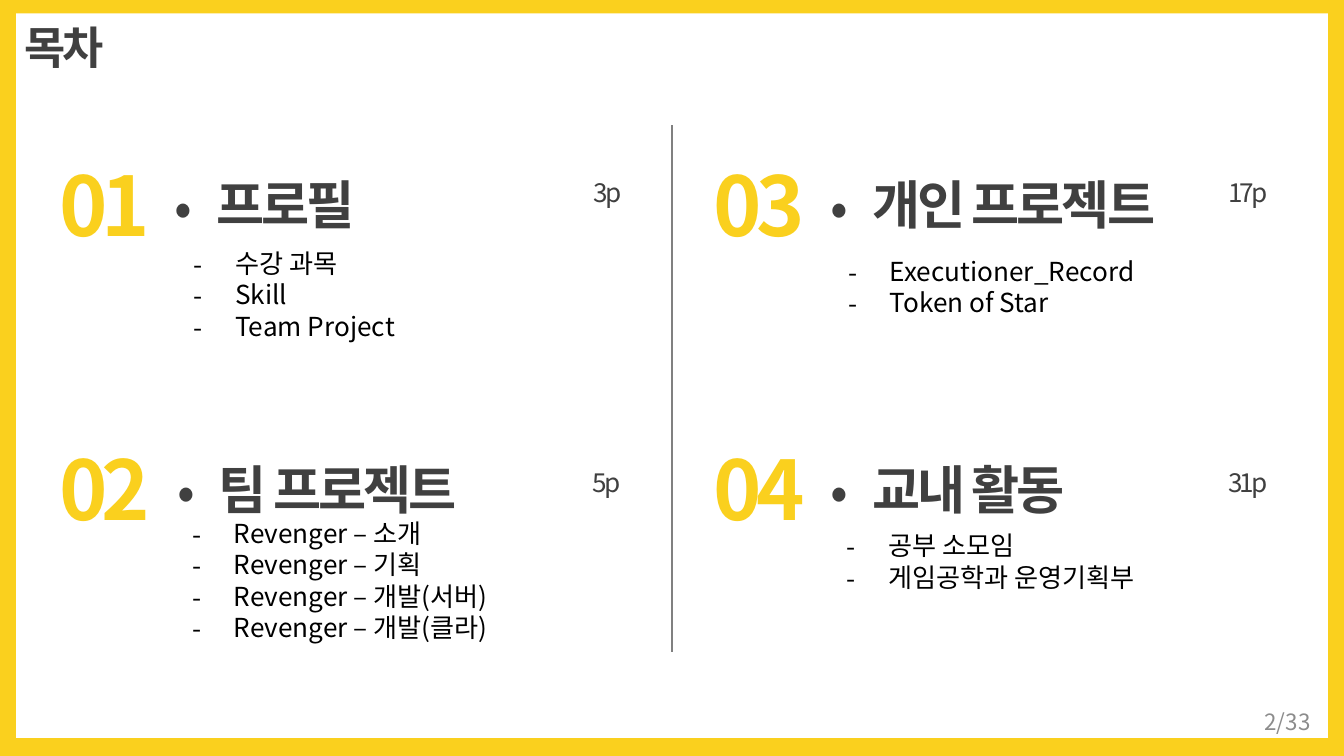
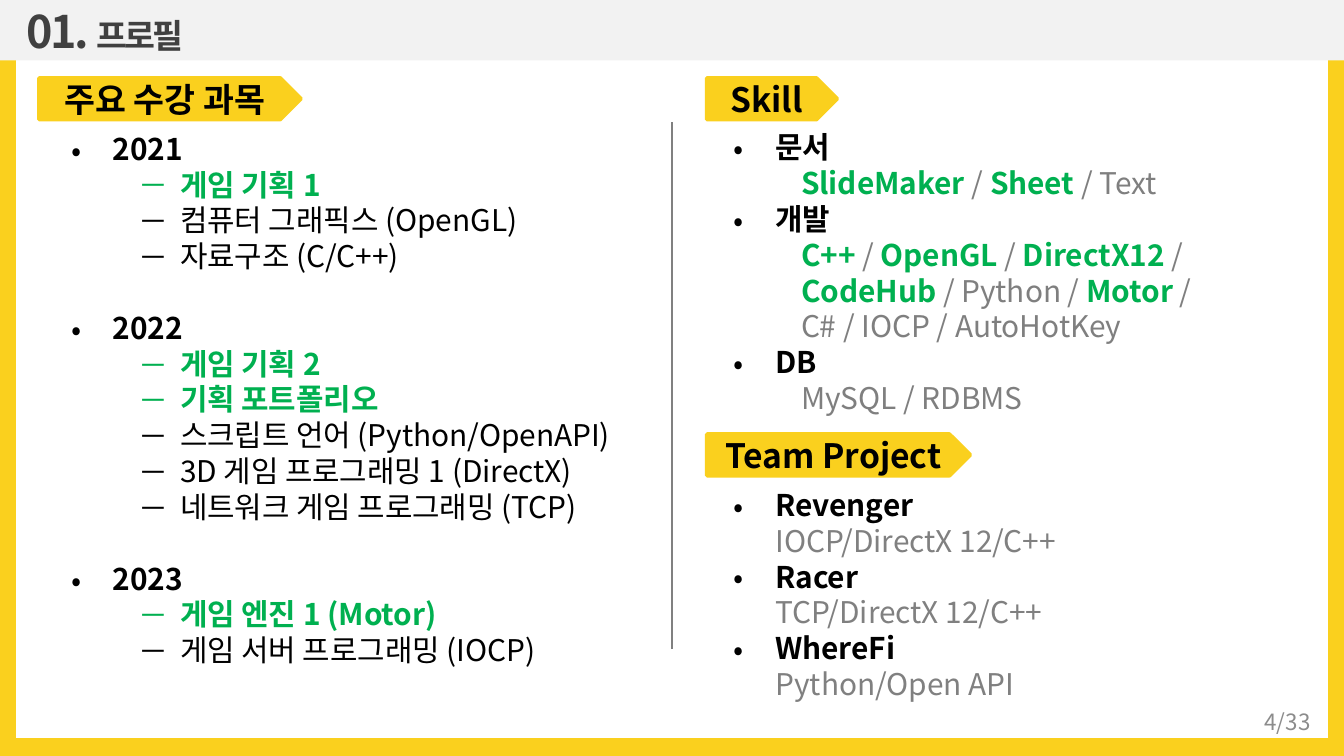
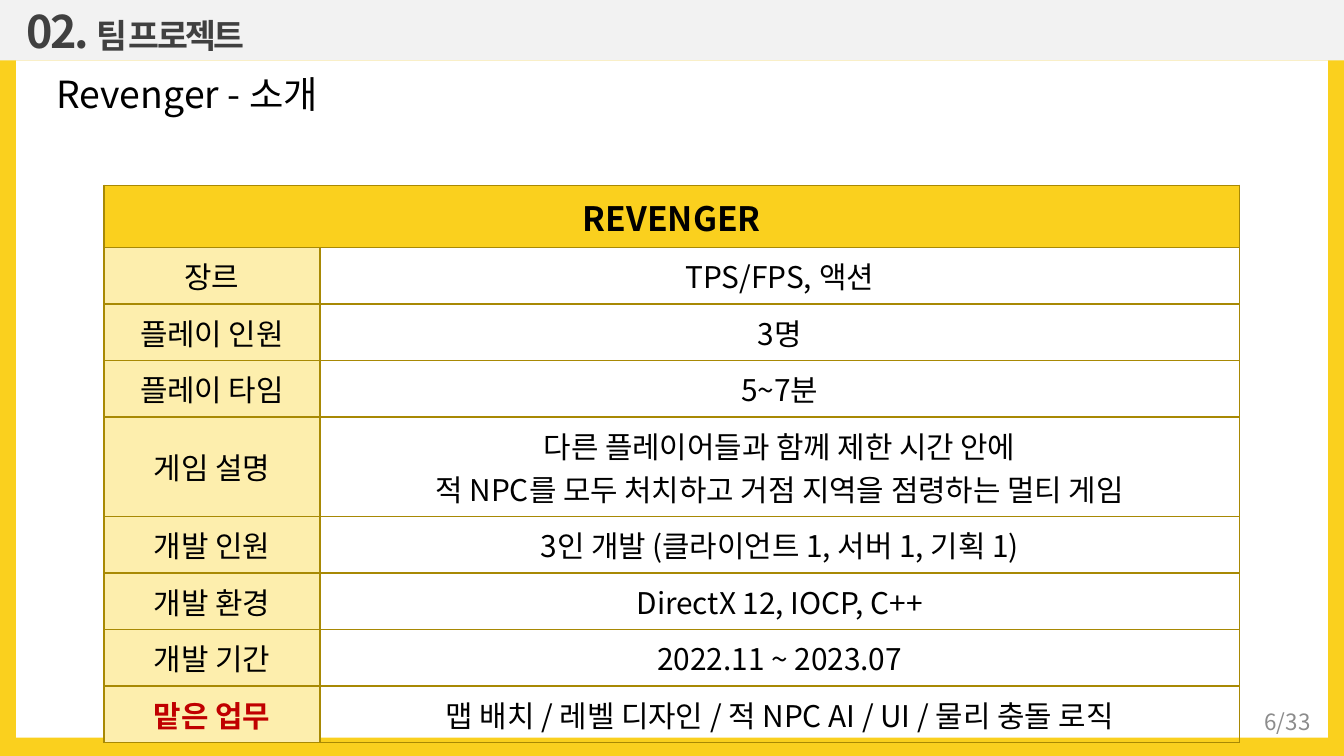
from lxml.etree import SubElement
from pptx import Presentation
from pptx.dml.color import RGBColor
from pptx.enum.shapes import MSO_CONNECTOR as Connector, MSO_SHAPE as Preset
from pptx.enum.text import MSO_ANCHOR as Anchor, MSO_AUTO_SIZE as AutoSize, PP_ALIGN as Align
from pptx.oxml.ns import qn
from pptx.util import Inches, Pt

SLIDE_W, SLIDE_H = Inches(10), Inches(5.625)
COL, ROW = SLIDE_W / 100, SLIDE_H / 56.25
FONT = "Noto Sans CJK KR"
COLORS = {
    "yellow": "FAD01E", "cream": "FDEEAD", "border": "A88904", "white": "FFFFFF",
    "band": "F2F2F2", "title": "404040", "ink": "000000", "muted": "7F7F7F",
    "rule": "808080", "page": "8C8C8C", "green": "00B050", "red": "C00000",
}
HANG = Inches(0.31)
TITLE_ONLY, COMPARISON = 5, 4
STRONG = {"color": "green", "bold": True}
HEADING = {"bullet": "•", "left": HANG, "hang": HANG, "size": 16, "bold": True}
COURSE = {"bullet": "－", "left": Inches(0.81), "hang": HANG, "size": 16, "level": 1}
DETAIL = {"left": Inches(0.5), "size": 16, "color": "muted", "level": 1}
DASH = {"bullet": "-", "left": HANG, "hang": HANG}

CHAPTERS = [
    {"number": "01", "name": "프로필", "page": "3p", "corner": (2.3, 9.5),
     "name_at": (9.7, 18.2), "page_at": (40.9, 3.1, 4.8), "topics_at": (11.1, 8.4, 28.8, 8.1),
     "topics": ["수강 과목", "Skill", "Team Project"]},
    {"number": "02", "name": "팀 프로젝트", "page": "5p", "corner": (2.3, 30.7),
     "name_at": (9.9, 25.7), "page_at": (40.8, 3.5, 4.8), "topics_at": (11, 7.3, 28.8, 10.4),
     "topics": ["Revenger – 소개", "Revenger – 기획", "Revenger – 개발(서버)",
                "Revenger – 개발(클라)"]},
    {"number": "03", "name": "개인 프로젝트", "page": "17p", "corner": (51, 9.5),
     "name_at": (9.8, 29.8), "page_at": (39.4, 3.1, 6), "topics_at": (11.1, 9, 36.8, 5.7),
     "topics": ["Executioner_Record", "Token of Star"]},
    {"number": "04", "name": "교내 활동", "page": "31p", "corner": (51, 30.7),
     "name_at": (9.8, 22.9), "page_at": (39.4, 3.5, 6), "topics_at": (11, 8.2, 28.8, 5.8),
     "topics": ["공부 소모임", "게임공학과 운영기획부"]},
]
COURSES = {
    "2021": [("게임 기획 1", True), ("컴퓨터 그래픽스 (OpenGL)", False), ("자료구조 (C/C++)", False)],
    "2022": [("게임 기획 2", True), ("기획 포트폴리오", True),
             ("스크립트 언어 (Python/OpenAPI)", False), ("3D 게임 프로그래밍 1 (DirectX)", False),
             ("네트워크 게임 프로그래밍 (TCP)", False)],
    "2023": [("게임 엔진 1 (Motor)", True), ("게임 서버 프로그래밍 (IOCP)", False)],
}
SKILLS = {
    "문서": [("SlideMaker", STRONG), (" / ", {}), ("Sheet", STRONG), (" / Text", {})],
    "개발": [("C++ ", STRONG), ("/ ", {}), ("OpenGL", STRONG), (" / ", {}), ("DirectX12", STRONG),
           (" / ", {}), ("CodeHub", STRONG), (" / Python / ", {}), ("Motor ", STRONG), ("/ ", {}),
           ("\n", {}), ("C# / IOCP / AutoHotKey", {})],
    "DB": [("MySQL / RDBMS", {})],
}
PROJECTS = [("Revenger", "IOCP/DirectX 12/C++"), ("Racer", "TCP/DirectX 12/C++"),
            ("WhereFi", "Python/Open API")]
GAME_FACTS = [
    ("장르", "TPS/FPS, 액션"),
    ("플레이 인원", "3명"),
    ("플레이 타임", "5~7분"),
    ("게임 설명", "다른 플레이어들과 함께 제한 시간 안에\n적 NPC를 모두 처치하고 거점 지역을 점령하는 멀티 게임"),
    ("개발 인원", "3인 개발 (클라이언트 1, 서버 1, 기획 1)"),
    ("개발 환경", "DirectX 12, IOCP, C++"),
    ("개발 기간", "2022.11 ~ 2023.07"),
    ("맡은 업무", "맵 배치 / 레벨 디자인 / 적 NPC AI / UI / 물리 충돌 로직"),
]


def rgb(name):
    """Look up a palette colour."""
    return RGBColor.from_string(COLORS[name])


def grid(col, row, cols, rows):
    """Turn grid columns and rows into slide lengths."""
    return round(col * COL), round(row * ROW), round(cols * COL), round(rows * ROW)


def move(shape, box):
    """Put a shape on a grid box."""
    shape.left, shape.top, shape.width, shape.height = grid(*box)


def paint(shape, fill, line=None):
    """Give a shape a flat fill and an optional 2 pt outline."""
    shape.shadow.inherit = False
    shape.fill.solid()
    shape.fill.fore_color.rgb = rgb(fill)
    if line:
        shape.line.color.rgb = rgb(line)
        shape.line.width = Pt(2)
    else:
        shape.line.fill.background()


def write(paragraph, content, size=14, color="ink", bold=False, spacing=0, align=Align.LEFT,
          line=1.0, before=0, bullet=None, left=0, hang=0, level=0):
    """Write plain text or (text, overrides) runs into a formatted paragraph."""
    for text, changes in [(content, {})] if isinstance(content, str) else content:
        if text == "\n":
            paragraph.add_line_break()
            continue
        run = paragraph.add_run()
        run.text = text
        if "size" in changes:
            run.font.size = Pt(changes["size"])
        if "color" in changes:
            run.font.color.rgb = rgb(changes["color"])
        if "bold" in changes:
            run.font.bold = changes["bold"]
    paragraph.alignment, paragraph.level = align, level
    paragraph.line_spacing = line
    paragraph.space_before, paragraph.space_after = Pt(before), Pt(0)
    props = paragraph._p.get_or_add_pPr()
    props.set("marL", str(left))
    props.set("indent", str(-hang))
    if bullet:
        SubElement(props, qn("a:buFont"), typeface=FONT)
        SubElement(props, qn("a:buChar"), char=bullet)
    else:
        SubElement(props, qn("a:buNone"))
    font = paragraph.font
    font.size, font.bold, font.name = Pt(size), bold, FONT
    font.color.rgb = rgb(color)
    defaults = props.find(qn("a:defRPr"))
    defaults.set("spc", str(round(spacing * 100)))
    SubElement(defaults, qn("a:ea"), typeface=FONT)


def fill_text(shape, entries, anchor=Anchor.TOP, insets=(0.1, 0.05, 0.1, 0.05), wrap=True):
    """Fill a shape with (content, style) paragraphs."""
    frame = shape.text_frame
    frame.word_wrap, frame.auto_size, frame.vertical_anchor = wrap, AutoSize.NONE, anchor
    (frame.margin_left, frame.margin_top,
     frame.margin_right, frame.margin_bottom) = map(Inches, insets)
    for index, (content, style) in enumerate(entries):
        paragraph = frame.add_paragraph() if index else frame.paragraphs[0]
        write(paragraph, content, **style)


def add_label(slide, box, text, style, **frame_options):
    """Add a one-paragraph text box."""
    fill_text(slide.shapes.add_textbox(*grid(*box)), [(text, style)], **frame_options)


def fill_list(placeholder, box, entries):
    """Place a body placeholder and fill its list."""
    move(placeholder, box)
    fill_text(placeholder, entries)


def start_slide(deck, layout, page, panel_top=1):
    """Add a slide with its white panel and page number."""
    slide = deck.slides.add_slide(deck.slide_layouts[layout])
    panel = slide.shapes.add_shape(Preset.RECTANGLE, *grid(1.2, panel_top, 97.6, 54.9 - panel_top))
    paint(panel, "white")
    slide.shapes.title.element.addprevious(panel.element)
    add_label(slide, (91.2, 52.4, 7.3, 2.6), f"{page}/33",
              {"size": 12, "color": "page", "align": Align.RIGHT}, anchor=Anchor.MIDDLE)
    return slide


def add_header(slide, number, name):
    """Turn the title into the grey chapter band."""
    band = slide.shapes.title
    move(band, (0, 0, 100, 4.5))
    band.fill.solid()
    band.fill.fore_color.rgb = rgb("band")
    fill_text(band, [([(f"{number}. ", {}), (name, {"size": 18})],
                      {"size": 24, "color": "title", "bold": True, "spacing": -1.5})],
              anchor=Anchor.MIDDLE, insets=(0.2, 0.05, 0.1, 0.05))


def add_divider(slide, top):
    """Draw the thin centre line between the two halves."""
    left, start, _, length = grid(50, top, 0, 39.2)
    divider = slide.shapes.add_connector(Connector.STRAIGHT, left, start + length, left, start)
    divider.line.color.rgb = rgb("rule")
    divider.line.width = Pt(0.75)
    SubElement(divider.element.spPr, qn("a:effectLst"))


def add_tag(slide, box, text):
    """Add a yellow arrow-shaped section tag."""
    tag = slide.shapes.add_shape(Preset.PENTAGON, *grid(*box))
    paint(tag, "yellow", "yellow")
    fill_text(tag, [(text, {"size": 18, "bold": True, "align": Align.CENTER})],
              anchor=Anchor.MIDDLE, wrap=False)


def add_chapter(slide, topics_holder, chapter):
    """Place one contents entry relative to its corner."""
    col, row = chapter["corner"]
    name_dx, name_cols = chapter["name_at"]
    page_dx, page_dy, page_cols = chapter["page_at"]
    topics_dx, topics_dy, *topics_size = chapter["topics_at"]
    add_label(slide, (col, row, 11, 9), chapter["number"],
              {"size": 44, "color": "yellow", "bold": True, "spacing": -3,
               "align": Align.CENTER, "line": 1.2})
    add_label(slide, (col + name_dx, row + 1.8, name_cols, 5.8), chapter["name"],
              {"size": 28, "color": "title", "bold": True, "spacing": -1.5, "line": 1.4,
               "bullet": "•", "left": HANG, "hang": HANG},
              anchor=Anchor.MIDDLE, insets=(0.1, 0, 0.1, 0))
    add_label(slide, (col + page_dx, row + page_dy, page_cols, 3.4), chapter["page"],
              {"color": "title", "spacing": -1.5})
    fill_list(topics_holder, (col + topics_dx, row + topics_dy, *topics_size),
              [(topic, DASH) for topic in chapter["topics"]])


def build_contents(deck):
    """Build the contents slide."""
    slide = start_slide(deck, COMPARISON, 2)
    move(slide.shapes.title, (1.2, 1, 7.1, 5))
    fill_text(slide.shapes.title,
              [("목차", {"size": 24, "color": "title", "bold": True, "spacing": -1.5,
                       "align": Align.CENTER})],
              anchor=Anchor.MIDDLE, insets=(0, 0.05, 0, 0.05), wrap=False)
    add_divider(slide, 9.3)
    for index, chapter in enumerate(CHAPTERS, 1):
        add_chapter(slide, slide.placeholders[index], chapter)


def build_profile(deck):
    """Build the profile slide with courses, skills and projects."""
    slide = start_slide(deck, COMPARISON, 4)
    add_header(slide, "01", "프로필")
    add_divider(slide, 9.1)
    add_tag(slide, (2.9, 5.8, 19.5, 3.1), "주요 수강 과목")
    add_tag(slide, (52.6, 5.8, 9.7, 3.1), "Skill")
    add_tag(slide, (52.6, 32.3, 19.6, 3.1), "Team Project")

    courses = []
    for year, names in COURSES.items():
        courses.append((year, {**HEADING, "before": 19.2 if courses else 0}))
        courses += [(name, {**COURSE, **(STRONG if planning else {})}) for name, planning in names]
    skills = [entry for field, tools in SKILLS.items()
              for entry in ((field, HEADING), (tools, DETAIL))]
    projects = [([(name, {}), ("\n", {}), (tools, {"color": "rule", "bold": False})], HEADING)
                for name, tools in PROJECTS]
    fill_list(slide.placeholders[1], (4.3, 9.2, 45.8, 41.9), courses)
    fill_list(slide.placeholders[2], (53.6, 9.1, 38.1, 22.7), skills)
    fill_list(slide.placeholders[3], (53.6, 35.7, 36.7, 16.9), projects)
    spare = slide.placeholders[4].element
    spare.getparent().remove(spare)


def fill_cell(cell, text, fill=None, anchor=Anchor.MIDDLE, **style):
    """Write, border and colour one table cell."""
    cell.vertical_anchor = anchor
    for index, line in enumerate(text.split("\n")):
        paragraph = cell.text_frame.add_paragraph() if index else cell.text_frame.paragraphs[0]
        write(paragraph, line, **{"size": 16, "align": Align.CENTER, **style})
    draw_borders(cell)
    if fill:
        cell.fill.solid()
        cell.fill.fore_color.rgb = rgb(fill)
    else:
        cell.fill.background()


def draw_borders(cell):
    """Draw a 1 pt line on all four sides of a cell."""
    props = cell._tc.get_or_add_tcPr()
    for side in ("lnL", "lnR", "lnT", "lnB"):
        edge = SubElement(props, qn(f"a:{side}"), w=str(Pt(1)))
        SubElement(SubElement(edge, qn("a:solidFill")), qn("a:srgbClr"), val=COLORS["border"])


def add_fact_table(slide, box):
    """Add the game's fact sheet with a merged heading row."""
    table = slide.shapes.add_table(len(GAME_FACTS) + 1, 2, *grid(*box)).table
    table.horz_banding = False
    for column, share in zip(table.columns, (0.19, 0.81)):
        column.width = round(box[2] * COL * share)
    table.cell(0, 0).merge(table.cell(0, 1))
    fill_cell(table.cell(0, 0), "REVENGER", "yellow", Anchor.TOP, size=18, bold=True)
    draw_borders(table.cell(0, 1))
    for row, (label, fact) in enumerate(GAME_FACTS, 1):
        duty = {"color": "red", "bold": True} if row == len(GAME_FACTS) else {}
        fill_cell(table.cell(row, 0), label, "cream", **duty)
        fill_cell(table.cell(row, 1), fact)


def build_project(deck):
    """Build the team project slide."""
    slide = start_slide(deck, TITLE_ONLY, 6, panel_top=4.5)
    add_header(slide, "02", "팀 프로젝트")
    add_label(slide, (1.2, 4.8, 28.4, 4.2), "Revenger - 소개", {"size": 20},
              insets=(0.3, 0.05, 0.1, 0.05))
    add_fact_table(slide, (7.74, 13.8, 84.5, 36))


def main():
    """Build and save the deck."""
    deck = Presentation()
    deck.slide_width, deck.slide_height = SLIDE_W, SLIDE_H
    backdrop = deck.slide_master.background.fill
    backdrop.solid()
    backdrop.fore_color.rgb = rgb("yellow")
    build_contents(deck)
    build_profile(deck)
    build_project(deck)
    deck.save("out.pptx")


if __name__ == "__main__":
    main()
